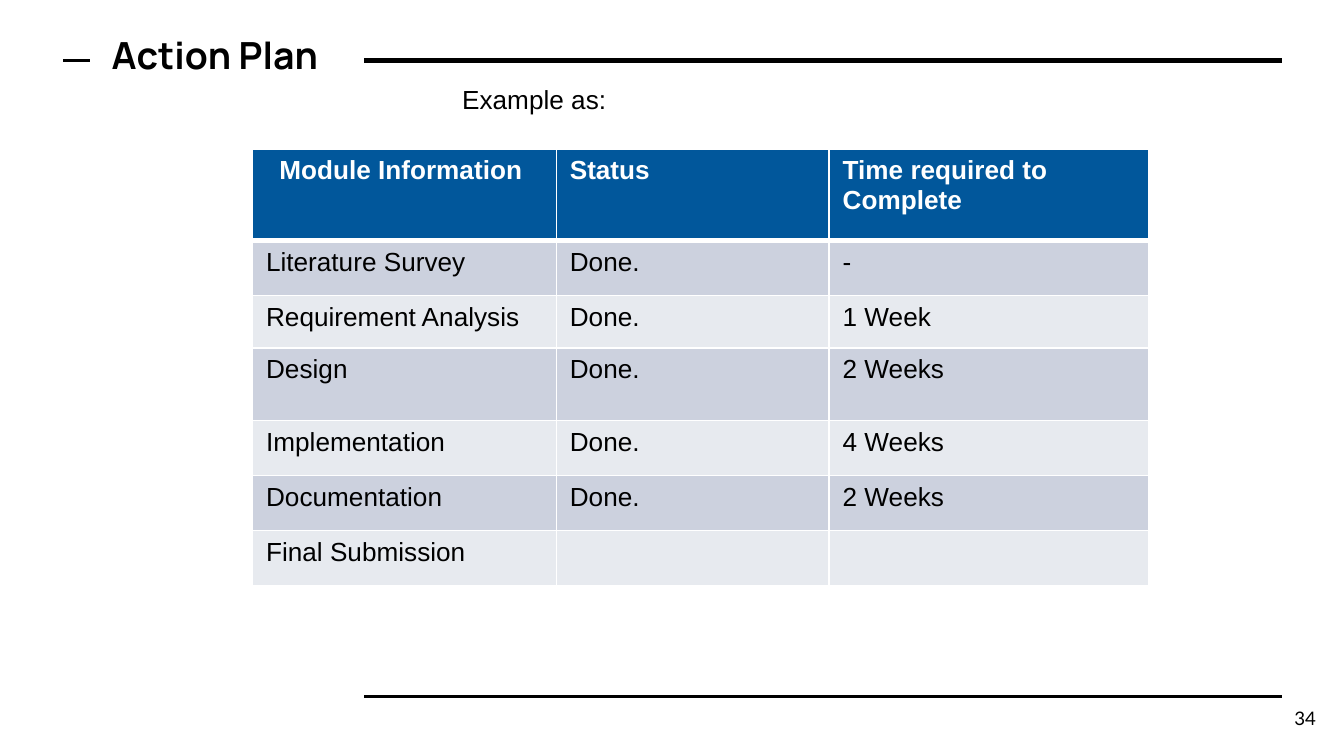
"""Build the action plan slide with its module status table."""
from lxml.etree import SubElement
from pptx import Presentation
from pptx.dml.color import RGBColor
from pptx.enum.shapes import MSO_CONNECTOR
from pptx.enum.text import MSO_ANCHOR as ANCHOR, MSO_AUTO_SIZE as AUTO, PP_ALIGN as ALIGN
from pptx.oxml.ns import qn
from pptx.util import Inches, Pt

BLACK, WHITE, BLUE = "000000", "FFFFFF", "01579B"
BANDS = ["CCD1DE", "E7EAEF"]

TABLE = [
    ("Module Information ", "Status", "Time required to Complete"),
    ("Literature Survey", "Done.", "-"),
    ("Requirement Analysis", "Done.", "1 Week"),
    ("Design", "Done.", "2 Weeks"),
    ("Implementation", "Done.", "4 Weeks"),
    ("Documentation", "Done.", "2 Weeks"),
    ("Final Submission", "", ""),
]
COL_WIDTHS = [2.26, 2.03, 2.38]
ROW_HEIGHTS = [0.68, 0.41, 0.39, 0.54, 0.41, 0.41, 0.41]
RULES = [(2.71, 9.54, 0.45, 3), (2.71, 9.54, 5.18, 1.5), (0.47, 0.67, 0.45, 1.5)]


def rgb(value):
    return RGBColor.from_string(value)


def add_run(p, text, size, font, color=BLACK, bold=False):
    r = p.add_run()
    r.text = text
    r.font.size, r.font.name, r.font.bold = Pt(size), font, bold
    r.font.color.rgb = rgb(color)


def set_frame(tf, anchor, inset=0.1, wrap=True):
    tf.word_wrap, tf.auto_size, tf.vertical_anchor = wrap, AUTO.NONE, anchor
    tf.margin_left = tf.margin_right = Inches(0.1)
    tf.margin_top = tf.margin_bottom = Inches(inset)


def add_rule(s, left, right, y, width):
    line = s.shapes.add_connector(
        MSO_CONNECTOR.STRAIGHT, Inches(left), Inches(y), Inches(right), Inches(y))
    line.line.color.rgb = rgb(BLACK)
    line.line.width = Pt(width)
    SubElement(line._element.spPr, qn("a:effectLst"))


def set_borders(cell, top, bottom):
    tc_pr = cell._tc.get_or_add_tcPr()
    sides = [("lnL", 1), ("lnR", 1), ("lnT", top), ("lnB", bottom)]
    for i, (side, width) in enumerate(sides):
        ln = tc_pr.makeelement(qn(f"a:{side}"), {"w": str(Pt(width))})
        fill = SubElement(ln, qn("a:solidFill"))
        SubElement(fill, qn("a:srgbClr"), val=WHITE)
        tc_pr.insert(i, ln)


def add_table(s, left, top):
    frame = s.shapes.add_table(
        len(TABLE), len(COL_WIDTHS), Inches(left), Inches(top),
        Inches(sum(COL_WIDTHS)), Inches(sum(ROW_HEIGHTS)))
    table = frame.table
    for col, width in zip(table.columns, COL_WIDTHS):
        col.width = Inches(width)
    for i, (row, height, texts) in enumerate(zip(table.rows, ROW_HEIGHTS, TABLE)):
        row.height = Inches(height)
        header = i == 0
        for j, (cell, text) in enumerate(zip(row.cells, texts)):
            cell.fill.solid()
            cell.fill.fore_color.rgb = rgb(BLUE if header else BANDS[(i - 1) % 2])
            set_borders(cell, 3 if i == 1 else 1, 3 if header else 1)
            p = cell.text_frame.paragraphs[0]
            p.alignment = ALIGN.CENTER if header and j == 0 else ALIGN.LEFT
            if text:
                add_run(p, text, 14, "Arial", WHITE if header else BLACK, header)
            else:
                p.font.size = Pt(14)


def add_text(s, box, text, size, font, align, anchor, inset, wrap):
    tf = s.shapes.add_textbox(*map(Inches, box)).text_frame
    set_frame(tf, anchor, inset, wrap)
    p = tf.paragraphs[0]
    p.alignment = align
    add_run(p, text, size, font)


def main():
    prs = Presentation()
    prs.slide_width, prs.slide_height = Inches(10), Inches(10 * 9 / 16)
    s = prs.slides.add_slide(prs.slide_layouts[5])
    for rule in RULES:
        add_rule(s, *rule)

    title = s.shapes.title
    title.left, title.top, title.width, title.height = map(Inches, (0.73, 0.14, 2.44, 0.69))
    set_frame(title.text_frame, ANCHOR.TOP)
    p = title.text_frame.paragraphs[0]
    p.alignment = ALIGN.LEFT
    add_run(p, "Action Plan", 20, "Manrope", bold=True)

    add_text(s, (9.29, 5.13, 0.6, 0.43), "34", 10, "Lato",
             ALIGN.RIGHT, ANCHOR.MIDDLE, 0.1, True)
    add_table(s, 1.88, 1.11)
    add_text(s, (3.34, 0.57, 1.28, 0.34), "Example as:", 14, "Arial",
             ALIGN.LEFT, ANCHOR.TOP, 0.05, False)
    prs.save("out.pptx")


if __name__ == "__main__":
    main()
